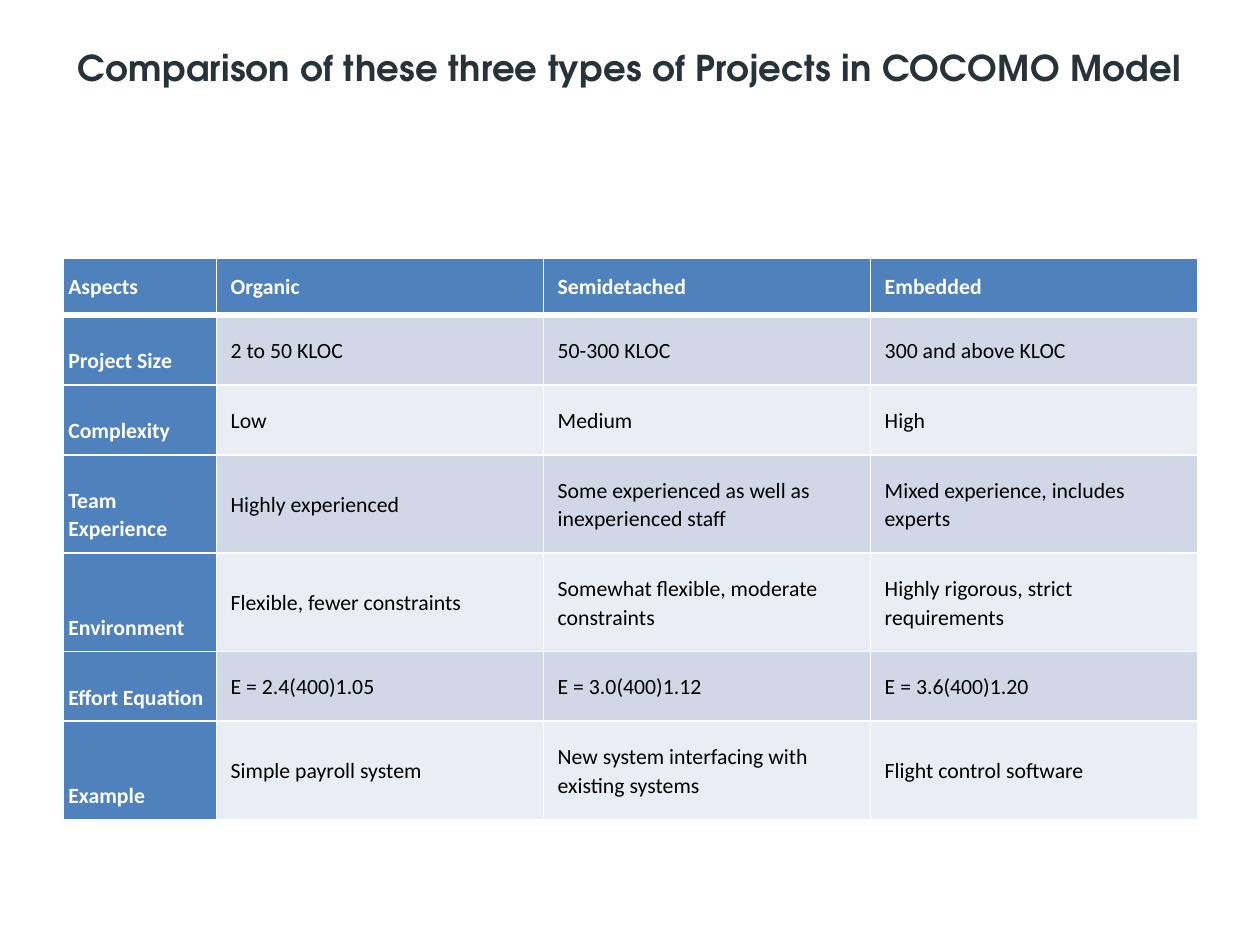
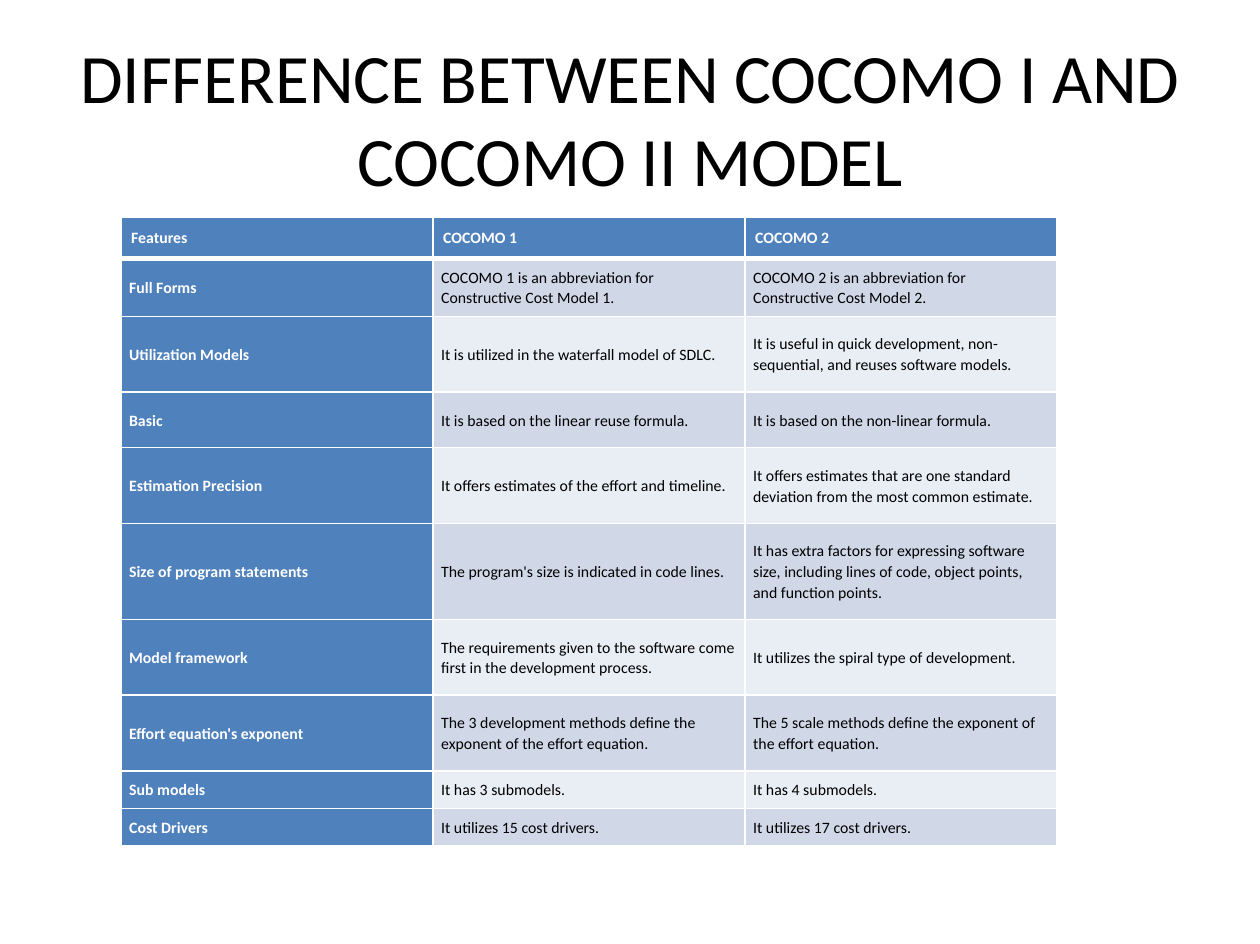
from collections import namedtuple

from lxml import etree
from pptx import Presentation
from pptx.dml.color import RGBColor
from pptx.enum import text
from pptx.oxml import ns
from pptx.util import Pt

WHITE = RGBColor(0xFF, 0xFF, 0xFF)
BLACK = RGBColor(0x00, 0x00, 0x00)
SLATE = RGBColor(0x27, 0x32, 0x39)
HEADER_BLUE = RGBColor(0x4F, 0x81, 0xBD)
BANDS = (RGBColor(0xD0, 0xD8, 0xE8), RGBColor(0xE9, 0xED, 0xF4))
BODY_FONT = "Calibri"
TITLE_FONT = "TeX Gyre Adventor"
TOP, MIDDLE, BOTTOM = (text.MSO_ANCHOR.TOP, text.MSO_ANCHOR.MIDDLE,
                       text.MSO_ANCHOR.BOTTOM)

Box = namedtuple("Box", "left top width height")
CellLayout = namedtuple("CellLayout", "anchor side_margin end_margin")

PROJECT_TYPES = {
    "title": "Comparison of these three types of Projects in COCOMO Model",
    "title_box": Box(32, 19.5, 574, 76),
    "title_anchor": TOP,
    "title_font": {"name": TITLE_FONT, "size": Pt(18), "bold": True},
    "title_color": SLATE,
    "title_spacing": 10,
    "table_box": Box(32, 130.5, 574.4, 278),
    "column_widths": (77.6, 165.6, 165.6, 165.6),
    "row_heights": (29, 35.4, 35.4, 49.8, 49.8, 35.4, 49.8),
    "text_size": 11,
    "header": CellLayout(BOTTOM, 7.2, 7.2),
    "corner": CellLayout(BOTTOM, 2.6, 7.2),
    "label": CellLayout(BOTTOM, 2.6, 5.2),
    "body": CellLayout(MIDDLE, 7.2, 10.4),
    "rows": (
        ("Aspects", "Organic", "Semidetached", "Embedded"),
        ("Project Size", "2 to 50 KLOC", "50-300 KLOC", "300 and above KLOC"),
        ("Complexity", "Low", "Medium", "High"),
        ("Team Experience", "Highly experienced",
         "Some experienced as well as inexperienced staff",
         "Mixed experience, includes experts"),
        ("Environment", "Flexible, fewer constraints",
         "Somewhat flexible, moderate constraints",
         "Highly rigorous, strict requirements"),
        ("Effort Equation", "E = 2.4(400)1.05", "E = 3.0(400)1.12",
         "E = 3.6(400)1.20"),
        ("Example", "Simple payroll system",
         "New system interfacing with existing systems",
         "Flight control software"),
    ),
}

MODEL_VERSIONS = {
    "title": "DIFFERENCE BETWEEN COCOMO I AND COCOMO II MODEL",
    "title_box": Box(32, 19.5, 574, 80),
    "title_anchor": MIDDLE,
    "title_font": {"name": BODY_FONT, "size": Pt(35.1), "bold": False},
    "title_color": BLACK,
    "title_spacing": 0,
    "table_box": Box(61.2, 109.8, 474, 318),
    "column_widths": (158, 158, 158),
    "row_heights": (20.8, 29.4, 38.4, 28.1, 38.4, 48.6, 38.4, 38.4, 19, 19),
    "text_size": 8,
    "header": CellLayout(TOP, 5.2, 5.2),
    "corner": CellLayout(TOP, 5.2, 5.2),
    "label": CellLayout(MIDDLE, 4.2, 4.2),
    "body": CellLayout(MIDDLE, 4.2, 4.2),
    "rows": (
        ("Features", "COCOMO 1", "COCOMO 2"),
        ("Full Forms",
         "COCOMO 1 is an abbreviation for Constructive Cost Model 1.",
         "COCOMO 2 is an abbreviation for Constructive Cost Model 2."),
        ("Utilization Models", "It is utilized in the waterfall model of SDLC.",
         "It is useful in quick development, non-sequential, and reuses "
         "software models."),
        ("Basic", "It is based on the linear reuse formula.",
         "It is based on the non-linear formula."),
        ("Estimation Precision",
         "It offers estimates of the effort and timeline.",
         "It offers estimates that are one standard deviation from the most "
         "common estimate."),
        ("Size of program statements",
         "The program's size is indicated in code lines.",
         "It has extra factors for expressing software size, including lines "
         "of code, object points, and function points."),
        ("Model framework",
         "The requirements given to the software come first in the "
         "development process.",
         "It utilizes the spiral type of development."),
        ("Effort equation's exponent",
         "The 3 development methods define the exponent of the effort equation.",
         "The 5 scale methods define the exponent of the effort equation."),
        ("Sub models", "It has 3 submodels.", "It has 4 submodels."),
        ("Cost Drivers", "It utilizes 15 cost drivers.",
         "It utilizes 17 cost drivers."),
    ),
}


def apply_format(target, values):
    """Set each named attribute of the target."""
    for name, value in values.items():
        setattr(target, name, value)


def set_borders(cell, widths):
    """Draw white cell borders, given in points for each side."""
    properties = cell._tc.get_or_add_tcPr()
    for index, (side, width) in enumerate(widths.items()):
        line = etree.Element(ns.qn(f"a:ln{side}"), w=str(Pt(width)))
        fill = etree.SubElement(line, ns.qn("a:solidFill"))
        etree.SubElement(fill, ns.qn("a:srgbClr"), val=str(WHITE))
        properties.insert(index, line)


def add_title(slide, content, box):
    """Place and format the slide title in the box."""
    title = slide.shapes.title
    apply_format(title, {name: Pt(value)
                         for name, value in box._asdict().items()})
    apply_format(title.text_frame, {
        "text": content["title"],
        "word_wrap": True,
        "auto_size": text.MSO_AUTO_SIZE.NONE,
        "vertical_anchor": content["title_anchor"],
    })
    paragraph = title.text_frame.paragraphs[0]
    paragraph.alignment = text.PP_ALIGN.CENTER
    font = paragraph.runs[0].font
    apply_format(font, content["title_font"])
    font.color.rgb = content["title_color"]
    if content["title_spacing"]:
        font._element.set("spc", str(content["title_spacing"]))


def format_cell(cell, row, column, content):
    """Format a filled cell by its role in the table."""
    emphasized = row == 0 or column == 0
    if row == 0:
        role = "corner" if column == 0 else "header"
    else:
        role = "label" if column == 0 else "body"
    layout = content[role]
    apply_format(cell, {
        "vertical_anchor": layout.anchor,
        "margin_left": Pt(layout.side_margin),
        "margin_right": Pt(layout.side_margin),
        "margin_top": Pt(layout.end_margin),
        "margin_bottom": Pt(layout.end_margin),
    })
    cell.fill.solid()
    cell.fill.fore_color.rgb = (HEADER_BLUE if emphasized
                                else BANDS[(row - 1) % 2])
    set_borders(cell, {"L": 1, "R": 1, "T": 3 if row == 1 else 1,
                       "B": 3 if row == 0 else 1})
    paragraph = cell.text_frame.paragraphs[0]
    apply_format(paragraph, {"line_spacing": 1.07, "space_after": Pt(8)})
    font = paragraph.runs[0].font
    apply_format(font, {"name": BODY_FONT, "size": Pt(content["text_size"]),
                        "bold": emphasized})
    font.color.rgb = WHITE if emphasized else BLACK


def add_comparison_table(slide, content, box):
    """Place the comparison table in the box."""
    rows = content["rows"]
    table = slide.shapes.add_table(
        len(rows), len(rows[0]), *(Pt(value) for value in box)).table
    for column, width in zip(table.columns, content["column_widths"]):
        column.width = Pt(width)
    for row, height in zip(table.rows, content["row_heights"]):
        row.height = Pt(height)
    for row, values in enumerate(rows):
        for column, value in enumerate(values):
            cell = table.cell(row, column)
            cell.text = value
            format_cell(cell, row, column, content)


def add_comparison_slide(presentation, content):
    """Add a slide with a title above a comparison table."""
    slide = presentation.slides.add_slide(presentation.slide_layouts[5])
    add_title(slide, content, content["title_box"])
    add_comparison_table(slide, content, content["table_box"])


def main():
    """Build and save the presentation."""
    presentation = Presentation()
    apply_format(presentation, {"slide_width": Pt(638),
                                "slide_height": Pt(478)})
    for content in (PROJECT_TYPES, MODEL_VERSIONS):
        add_comparison_slide(presentation, content)
    presentation.save("out.pptx")


if __name__ == "__main__":
    main()
